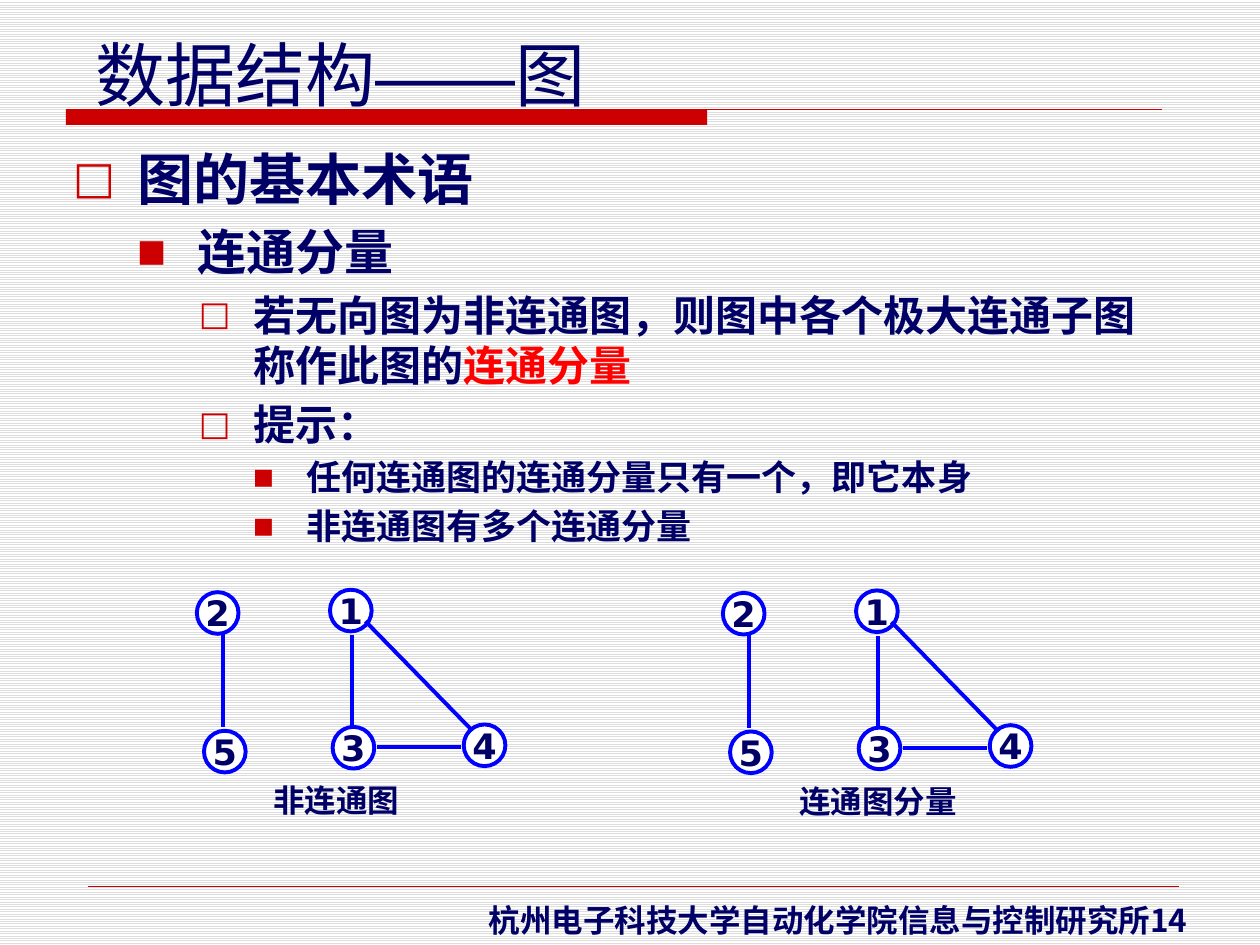
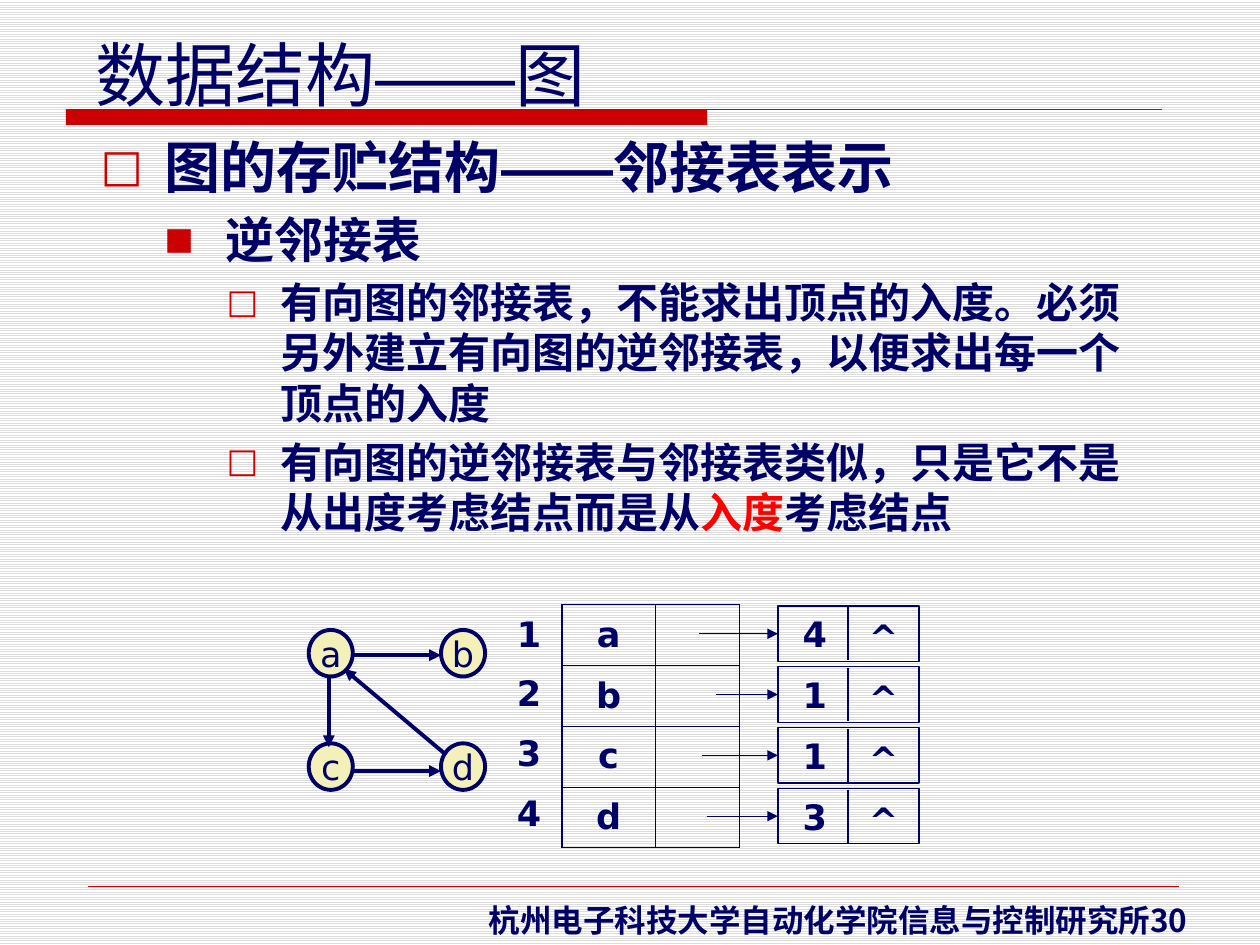
import pptx
import pptx.dml.color
import pptx.enum.dml
import pptx.enum.shapes
import pptx.enum.text
import pptx.oxml
import pptx.oxml.ns
import pptx.util
from lxml import etree

Pt = pptx.util.Pt
NAVY, RED, BRIGHT_RED, BLUE = "000066", "CC0000", "FF0000", "0000FF"
WHITE, CREAM, GREY = "FFFFFF", "F4F0BA", "DDDDDD"
LATIN, CJK, DASH_FONT = "DejaVu Sans", "Noto Sans CJK SC", "Arial"
DASH = "——"
SHAPE = pptx.enum.shapes.MSO_SHAPE
CENTER = pptx.enum.text.PP_ALIGN.CENTER
MIDDLE = pptx.enum.text.MSO_ANCHOR.MIDDLE

# level: (text size, left margin, hanging indent, bullet, bullet percent)
LEVELS = [
    (32, 36.7, 36.7, "□", 80),
    (28, 71.3, 34.6, "■", 63),
    (24, 103, 31, "□", 80),
    (20, 133.2, 30.2, "■", 63),
]
ROW = 34.75


def rgb(hex_code):
    """Turn a hex string into a colour."""
    return pptx.dml.color.RGBColor.from_string(hex_code)


def add_xml(parent, tag, **attributes):
    """Append a DrawingML element to a parent and return it."""
    return etree.SubElement(parent, pptx.oxml.ns.qn("a:" + tag), attributes)


def write(paragraph, pieces, size, bold=True, emphasis=None, latin=LATIN):
    """Write pieces as runs, with dashes and emphasis styled apart."""
    for piece in pieces:
        run = paragraph.add_run()
        run.text = piece
        run.font.size = Pt(size)
        run.font.bold = bold
        run.font.name = DASH_FONT if piece == DASH else latin
        run.font.color.rgb = rgb(BRIGHT_RED if piece == emphasis else NAVY)
        east_asian = DASH_FONT if piece == DASH else CJK
        add_xml(run.font._element, "ea", typeface=east_asian)


def add_label(slide, box, pieces, size, centered=False, **style):
    """Add a single-line text box."""
    frame = slide.shapes.add_textbox(*map(Pt, box)).text_frame
    frame.word_wrap = False
    if centered:
        frame.vertical_anchor = MIDDLE
        frame.paragraphs[0].alignment = CENTER
    write(frame.paragraphs[0], pieces, size, **style)


def add_box(slide, kind, box, fill=None, line=None, weight=0.75):
    """Add a flat preset shape with optional fill and outline."""
    shape = slide.shapes.add_shape(kind, *map(Pt, box))
    shape.shadow.inherit = False
    if fill:
        shape.fill.solid()
        shape.fill.fore_color.rgb = rgb(fill)
    else:
        shape.fill.background()
    if line:
        shape.line.color.rgb = rgb(line)
        shape.line.width = Pt(weight)
    else:
        shape.line.fill.background()
    return shape


def add_line(slide, start, end, color, weight, arrow=False):
    """Add a straight connector, with an arrowhead at its end if asked."""
    line = slide.shapes.add_connector(
        pptx.enum.shapes.MSO_CONNECTOR.STRAIGHT, *map(Pt, (*start, *end)))
    line.line.color.rgb = rgb(color)
    line.line.width = Pt(weight)
    if arrow:
        add_xml(line.line._get_or_add_ln(), "tailEnd", type="triangle")
    add_xml(line._element.spPr, "effectLst")
    return line


def add_vertex(slide, name, box, fill, line, bold):
    """Add a round graph vertex with its name."""
    vertex = add_box(slide, SHAPE.OVAL, box, fill, line, 2.25)
    frame = vertex.text_frame
    frame.margin_left = frame.margin_right = 0
    frame.margin_top = frame.margin_bottom = 0
    frame.word_wrap = False
    frame.vertical_anchor = MIDDLE
    frame.paragraphs[0].alignment = CENTER
    write(frame.paragraphs[0], [name], 20, bold)


def add_outline(slide, box, items):
    """Add the bulleted outline from (level, pieces, emphasis) items."""
    frame = slide.shapes.add_textbox(*map(Pt, box)).text_frame
    frame.word_wrap = True
    for index, (level, pieces, emphasis) in enumerate(items):
        paragraph = frame.add_paragraph() if index else frame.paragraphs[0]
        size, margin, hanging, bullet, percent = LEVELS[level]
        paragraph.level = level
        if index:
            paragraph.space_before = Pt(size * 0.2)
        properties = paragraph._p.get_or_add_pPr()
        properties.set("marL", str(Pt(margin)))
        properties.set("indent", str(-Pt(hanging)))
        add_xml(add_xml(properties, "buClr"), "srgbClr", val=RED)
        add_xml(properties, "buSzPct", val=str(percent * 1000))
        add_xml(properties, "buFont", typeface=LATIN)
        add_xml(properties, "buChar", char=bullet)
        write(paragraph, pieces, size, emphasis=emphasis)


def add_base_slide(deck, number):
    """Add a slide with the shared background, title, band and footer."""
    slide = deck.slides.add_slide(deck.slide_layouts[6])
    backdrop = slide.background.fill
    backdrop.patterned()
    backdrop.pattern = pptx.enum.dml.MSO_PATTERN.LIGHT_HORIZONTAL
    backdrop.fore_color.rgb = rgb(GREY)
    backdrop.back_color.rgb = rgb(WHITE)
    add_box(slide, SHAPE.RECTANGLE, (37.7, 62.7, 366.4, 8.7), RED)
    add_line(slide, (37.7, 62.7), (664.2, 62.7), RED, 0.75)
    add_line(slide, (50.4, 506.3), (674, 506.3), RED, 0.25)
    add_label(slide, (47.5, 14.4, 294.5, 55.4), ["数据结构", DASH, "图"], 40,
              bold=False)
    add_label(slide, (272.2, 511.2, 440, 28.8),
              [f"杭州电子科技大学自动化学院信息与控制研究所{number}"], 18,
              latin=CJK)
    return slide


def add_undirected_graph(slide, dx, dy, caption, caption_width):
    """Draw the five-vertex undirected graph, shifted by dx and dy."""
    vertices = {"2": (112.5, 338.4), "5": (116.6, 417.6), "1": (188.6, 337),
                "3": (190.1, 415.4), "4": (265, 414)}
    edges = [((127.4, 362.2), (127.4, 415.4)), ((215.3, 427), (263.5, 427)),
             ((200.9, 362.9), (200.9, 416.2)), ((208.8, 355), (270, 417.6))]
    for name, (x, y) in vertices.items():
        add_vertex(slide, name, (x + dx, y + dy, 23.8, 23.8), WHITE, BLUE, True)
    for (x1, y1), (x2, y2) in edges:
        add_line(slide, (x1 + dx, y1 + dy), (x2 + dx, y2 + dy), BLUE, 2.25)
    add_label(slide, (149 + dx, 442.8 + dy, caption_width, 28.8), [caption], 18)


def add_directed_graph(slide):
    """Draw the four-vertex directed graph."""
    for index, name in enumerate("abcd"):
        row, column = divmod(index, 2)
        box = (176.4 + 75.6 * column, 360 + 64.8 * row, 25.2, 26.6)
        add_vertex(slide, name, box, CREAM, NAVY, False)
    arcs = [((200.9, 374.4), (252, 374.4)), ((200.9, 440.6), (252, 440.6)),
            ((187.9, 386.6), (187.9, 427)), ((254.9, 431.3), (196.6, 382.3))]
    for start, end in arcs:
        add_line(slide, start, end, NAVY, 2.25, arrow=True)


def add_vertex_table(slide, names):
    """Add the table of vertices with an empty pointer column."""
    table = slide.shapes.add_table(
        len(names), 2, Pt(321.1), Pt(345.6), Pt(101.5), Pt(ROW * len(names))).table
    table.first_row = table.horz_banding = False
    table.columns[0].width, table.columns[1].width = Pt(53.3), Pt(48.2)
    for row, name in zip(table.rows, names):
        row.height = Pt(ROW)
        for cell, text in zip(row.cells, (name, "")):
            cell.margin_left = cell.margin_right = 0
            cell.margin_top = cell.margin_bottom = 0
            cell.vertical_anchor = MIDDLE
            properties = cell._tc.get_or_add_tcPr()
            for side in ("lnL", "lnR", "lnT", "lnB"):
                border = add_xml(properties, side, w=str(Pt(0.75)))
                add_xml(add_xml(border, "solidFill"), "srgbClr", val=NAVY)
            cell.fill.background()
            paragraph = cell.text_frame.paragraphs[0]
            paragraph.alignment = CENTER
            write(paragraph, [text] if text else [], 20)


def add_list_node(slide, top, vertex_index, arrow_start):
    """Add a list node with its index, null pointer and incoming arrow."""
    node = add_box(slide, SHAPE.RECTANGLE, (444.5, top, 80.6, 31.7), line=NAVY)
    frame = node.text_frame
    frame.margin_left = Pt(14.2)
    frame.margin_top = frame.margin_bottom = 0
    frame.vertical_anchor = MIDDLE
    frame.paragraphs[0].alignment = pptx.enum.text.PP_ALIGN.LEFT
    write(frame.paragraphs[0], [vertex_index], 20)
    add_line(slide, (484.6, top + 0.7), (484.6, top + 31), NAVY, 0.75)
    middle = top + 15.85
    pointer = add_line(slide, (arrow_start, middle), (444.5, middle),
                       NAVY, 0.75, arrow=True)
    pointer.end_connect(node, 1)
    add_label(slide, (489, top + 2.2, 31.7, 31), ["^"], 20, centered=True)


def add_components_slide(deck):
    """Build the slide on connected components."""
    slide = add_base_slide(deck, 14)
    add_outline(slide, (34.6, 79.2, 630.7, 447.8), [
        (0, ["图的基本术语"], None),
        (1, ["连通分量"], None),
        (2, ["若无向图为非连通图，则图中各个极大连通子图称作此图的", "连通分量"],
         "连通分量"),
        (2, ["提示："], None),
        (3, ["任何连通图的连通分量只有一个，即它本身"], None),
        (3, ["非连通图有多个连通分量"], None),
    ])
    add_undirected_graph(slide, 0, 0, "非连通图", 87.1)
    add_undirected_graph(slide, 300.6, 0.4, "连通图分量", 105.1)


def add_inverse_list_slide(deck):
    """Build the slide on the inverse adjacency list."""
    slide = add_base_slide(deck, 30)
    add_outline(slide, (50.4, 72, 609.8, 438.5), [
        (0, ["图的存贮结构", DASH, "邻接表表示"], None),
        (1, ["逆邻接表"], None),
        (2, ["有向图的邻接表，不能求出顶点的入度。必须另外建立有向图的逆邻接表，"
             "以便求出每一个顶点的入度"], None),
        (2, ["有向图的逆邻接表与邻接表类似，只是它不是从出度考虑结点而是从",
             "入度", "考虑结点"], "入度"),
    ])
    add_vertex_table(slide, "abcd")
    list_nodes = [("4", 399.6), ("1", 409), ("1", 401), ("3", 404)]
    for row, (vertex_index, arrow_start) in enumerate(list_nodes):
        add_label(slide, (288, 346.3 + 34.1 * row, 28.8, 31), [str(row + 1)], 20,
                  centered=True)
        add_list_node(slide, 346.3 + ROW * row, vertex_index, arrow_start)
    add_directed_graph(slide)


def main():
    """Build and save the deck."""
    deck = pptx.Presentation()
    deck.slide_width, deck.slide_height = Pt(720), Pt(540)
    add_components_slide(deck)
    add_inverse_list_slide(deck)
    deck.save("out.pptx")


if __name__ == "__main__":
    main()
